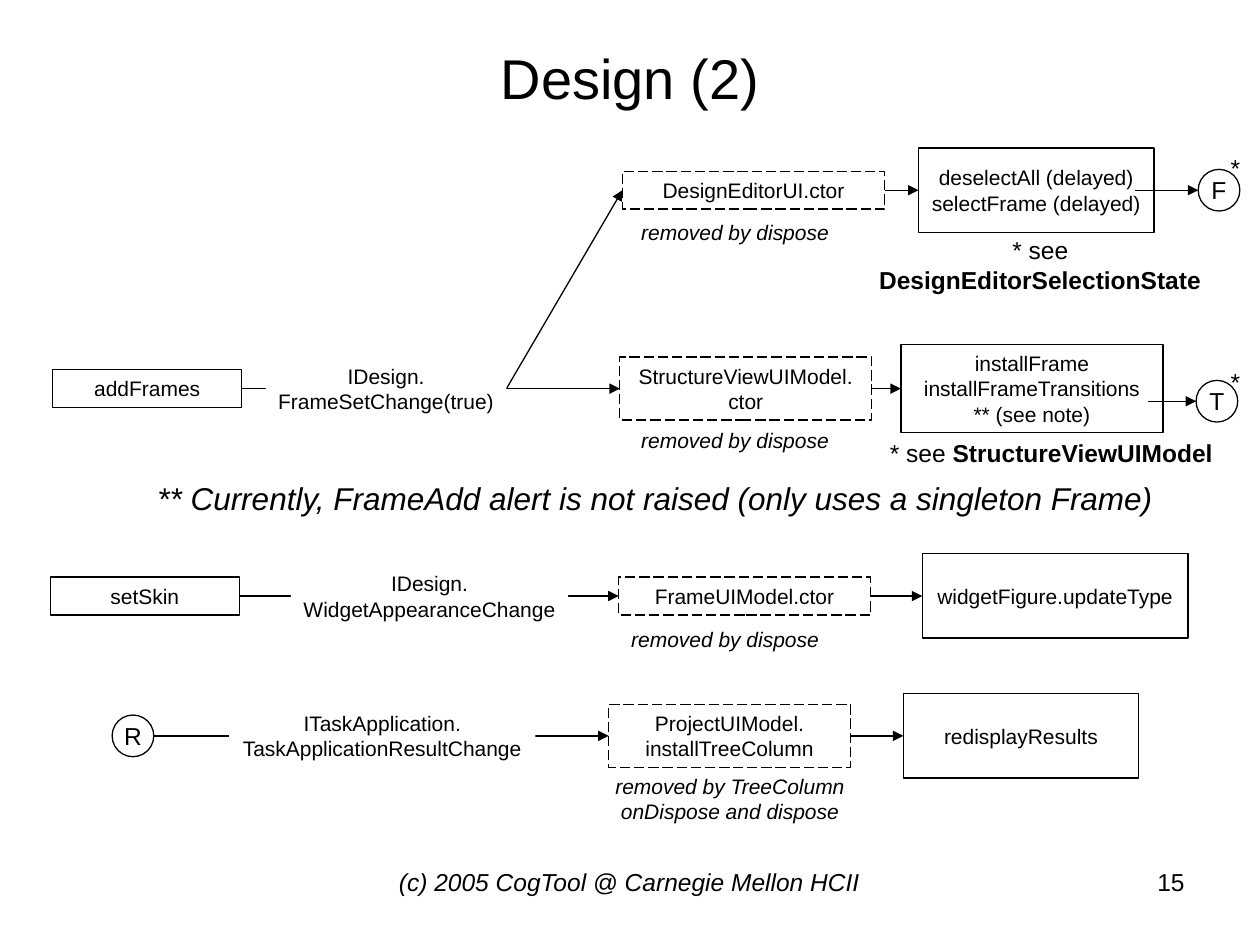
from dataclasses import dataclass
from lxml.etree import SubElement
from pptx import Presentation
from pptx.dml.color import RGBColor
from pptx.enum.dml import MSO_LINE
from pptx.enum.shapes import MSO_CONNECTOR, MSO_SHAPE
from pptx.enum.text import MSO_ANCHOR, PP_ALIGN
from pptx.oxml.ns import qn
from pptx.util import Pt


@dataclass(frozen=True)
class Theme:
    font: str = "Arial"
    ink: RGBColor = RGBColor(0, 0, 0)
    paper: RGBColor = RGBColor(255, 255, 255)
    line: float = 0.75
    title: int = 32
    remark: int = 18
    note: int = 14
    node: int = 12


THEME = Theme()

EDITOR, FRAMES, TRANSITIONS, SKIN, RESULTS = 108.7, 222.1, 229.3, 340.6, 420.5

NODES = {
    "add": ("box", FRAMES, 30.2, 108, 21.6, ["addFrames"]),
    "frame change": ("label", FRAMES, 151.9, 137.5, 36, ["IDesign.", "FrameSetChange(true)"]),
    "editor": ("dashed", EDITOR, 355.7, 149.8, 21.6, ["DesignEditorUI.ctor"]),
    "select": ("box", EDITOR, 524.9, 134.6, 48.2,
               ["deselectAll (delayed)", "selectFrame (delayed)"]),
    "F": ("circle", EDITOR, 684.7, 23.8, 23.8, ["F"]),
    "structure": ("dashed", FRAMES, 354.2, 144, 36, ["StructureViewUIModel.", "ctor"]),
    "install": ("box", FRAMES, 514.8, 149.8, 50.4,
                ["installFrame", "installFrameTransitions", "** (see note)"]),
    "T": ("circle", TRANSITIONS, 683.5, 23.8, 23.8, ["T"]),
    "skin": ("box", SKIN, 28.8, 108, 21.6, ["setSkin"]),
    "appearance": ("label", SKIN, 166.3, 158.4, 36, ["IDesign.", "WidgetAppearanceChange"]),
    "frame model": ("dashed", SKIN, 353.5, 144, 21.6, ["FrameUIModel.ctor"]),
    "update": ("box", SKIN, 527, 151.9, 48.2, ["widgetFigure.updateType"]),
    "R": ("circle", RESULTS, 64.1, 23.8, 23.8, ["R"]),
    "result change": ("label", RESULTS, 131, 175, 36,
                      ["ITaskApplication.", "TaskApplicationResultChange"]),
    "project": ("dashed", RESULTS, 347.8, 138.2, 36, ["ProjectUIModel.", "installTreeColumn"]),
    "redisplay": ("box", RESULTS, 516.2, 134.6, 48.2, ["redisplayResults"]),
}

ARROWS = [
    ("add", "structure", 0),
    ("structure", "install", 0),
    ("install", "T", 8.6),
    ("frame change", "editor", 0),
    ("editor", "select", 0),
    ("select", "F", 10.8),
    ("skin", "frame model", 0),
    ("frame model", "update", 0),
    ("R", "project", 0),
    ("project", "redisplay", 0),
]
SLANTED = {("frame change", "editor")}

REMOVALS = [
    (354.2, 121.7, 131.8, 21.6, "removed by dispose"),
    (354.2, 240.5, 131.8, 21.6, "removed by dispose"),
    (348.5, 354.2, 131.8, 21.6, "removed by dispose"),
    (336.2, 438.5, 162, 36, "removed by TreeColumn onDispose and dispose"),
]
REFERENCES = [
    (477.4, 139, 234, "DesignEditorSelectionState"),
    (501.1, 246.2, 199.4, "StructureViewUIModel"),
]
STARS = [(696.2, 83.5), (696.2, 205.9)]


def write(shape, lines, size, align=PP_ALIGN.CENTER, anchor=MSO_ANCHOR.MIDDLE,
          italic=False, wrap=True):
    frame = shape.text_frame
    frame.text = "\n".join(lines)
    frame.word_wrap = wrap
    frame.vertical_anchor = anchor
    for para in frame.paragraphs:
        para.alignment = align
        font = para.font
        font.name, font.size, font.italic = THEME.font, Pt(size), italic
        font.color.rgb = THEME.ink
    return frame


def add_text(page, left, top, width, height, text, size, **style):
    box = page.shapes.add_textbox(Pt(left), Pt(top), Pt(width), Pt(height))
    return write(box, [text], size, **style)


def add_node(page, kind, axis, left, width, height, lines):
    preset = MSO_SHAPE.OVAL if kind == "circle" else MSO_SHAPE.RECTANGLE
    shape = page.shapes.add_shape(preset, Pt(left), Pt(axis - height / 2), Pt(width), Pt(height))
    shape.shadow.inherit = False
    if kind == "label":
        shape.fill.solid()
        shape.fill.fore_color.rgb = THEME.paper
        shape.line.fill.background()
    else:
        shape.fill.background()
        shape.line.color.rgb = THEME.ink
        shape.line.width = Pt(THEME.line)
    if kind == "dashed":
        shape.line.dash_style = MSO_LINE.LONG_DASH
    size = THEME.note if kind == "circle" else THEME.node
    write(shape, lines, size, wrap=kind in ("box", "dashed"))


def add_arrow(page, start, end, overlap):
    _, start_axis, left, width, _, _ = NODES[start]
    _, end_axis, end_left, _, _, _ = NODES[end]
    start_y = start_axis if (start, end) in SLANTED else end_axis
    arrow = page.shapes.add_connector(
        MSO_CONNECTOR.STRAIGHT, Pt(left + width - overlap), Pt(start_y), Pt(end_left), Pt(end_axis))
    arrow.line.color.rgb = THEME.ink
    arrow.line.width = Pt(THEME.line)
    properties = arrow.line._get_or_add_ln()
    SubElement(properties, qn("a:tailEnd"), type="triangle")
    SubElement(properties.getparent(), qn("a:effectLst"))


def main():
    deck = Presentation()
    deck.slide_width, deck.slide_height = Pt(720), Pt(540)
    page = deck.slides.add_slide(deck.slide_layouts[6])

    add_text(page, 36, 21.6, 648, 44.6, "Design (2)", THEME.title)
    for arrow in ARROWS:
        add_arrow(page, *arrow)
    for node in NODES.values():
        add_node(page, *node)
    for removal in REMOVALS:
        add_text(page, *removal, THEME.node, italic=True)
    for left, top, width, target in REFERENCES:
        frame = add_text(page, left, top, width, 24.5, "* see ", THEME.note, wrap=False)
        span = frame.paragraphs[0].add_run()
        span.text = target
        span.font.bold = True
    for left, top in STARS:
        add_text(page, left, top, 19.4, 24.5, "*", THEME.note, wrap=False)

    add_text(page, 82.8, 270, 584.6, 28.8,
             "** Currently, FrameAdd alert is not raised (only uses a singleton Frame)",
             THEME.remark, align=PP_ALIGN.LEFT, anchor=MSO_ANCHOR.TOP, italic=True, wrap=False)
    add_text(page, 203.8, 491.8, 311.8, 37.4, "(c) 2005 CogTool @ Carnegie Mellon HCII",
             THEME.note, anchor=MSO_ANCHOR.TOP, italic=True)
    add_text(page, 516.2, 491.8, 167.8, 37.4, "15",
             THEME.note, align=PP_ALIGN.RIGHT, anchor=MSO_ANCHOR.TOP)
    deck.save("out.pptx")


if __name__ == "__main__":
    main()
